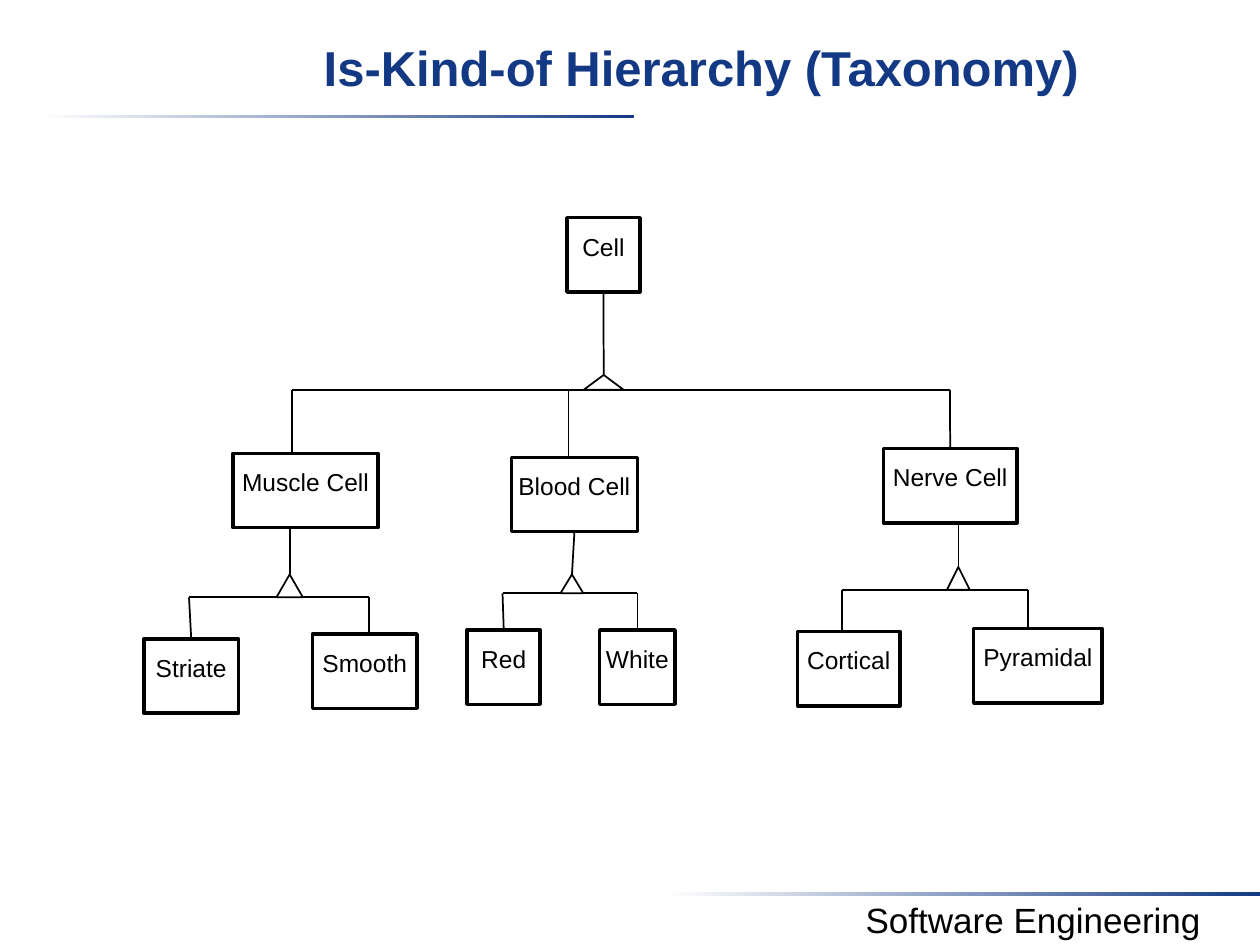
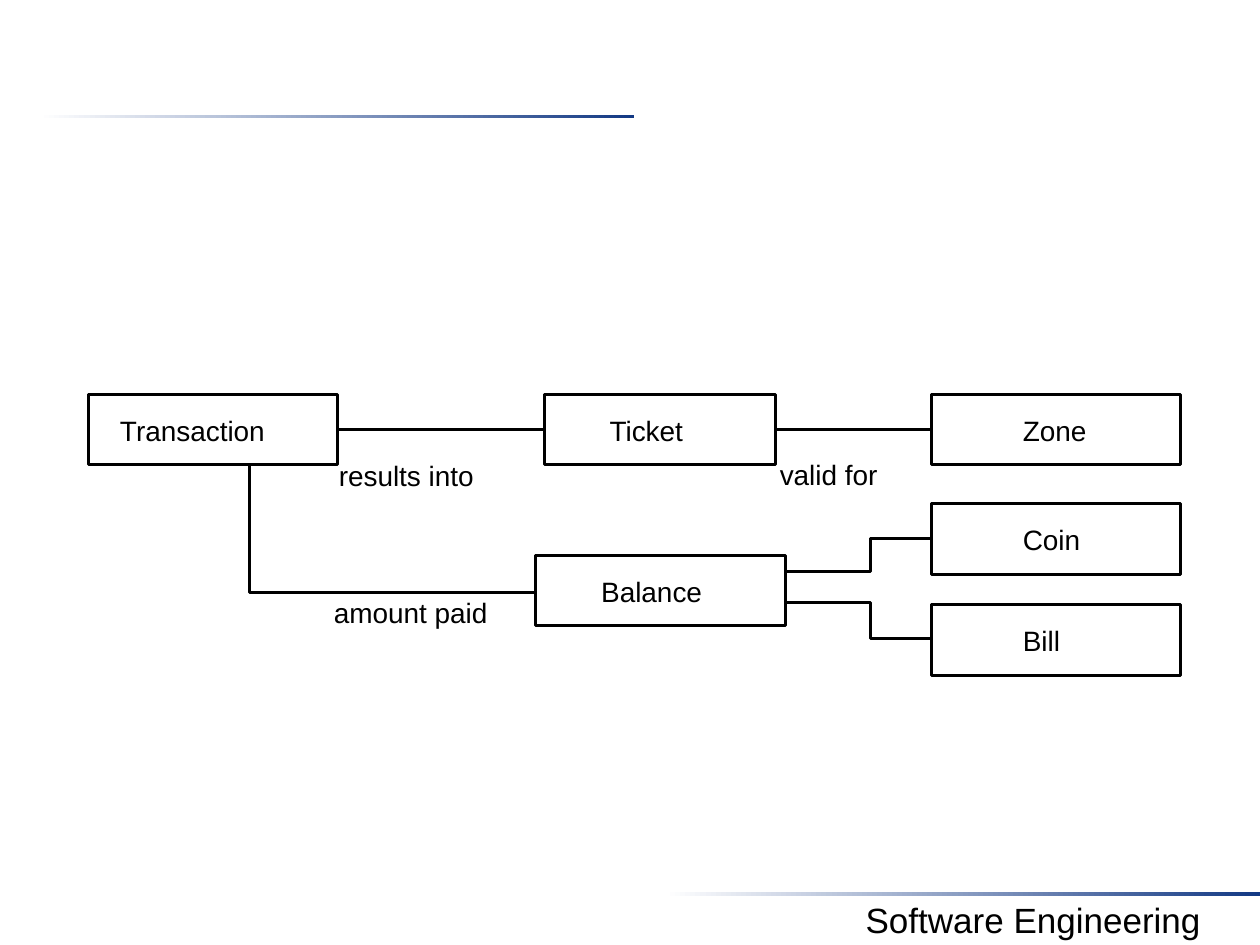
from lxml.etree import SubElement
from pptx import Presentation
from pptx.dml.color import RGBColor
from pptx.enum.shapes import MSO_CONNECTOR as CONN, MSO_SHAPE as SHAPE
from pptx.enum.text import MSO_ANCHOR as ANCHOR, PP_ALIGN as ALIGN
from pptx.oxml.ns import qn
from pptx.util import Cm, Pt

COLORS = {"ink": "000000", "paper": "FFFFFF", "navy": "133984"}
FONT = "Arial"
TOP, LEFT, BOTTOM, RIGHT = range(4)

# Shared parts, in cm: left, top, width, height
BANDS = [(0.79, 2.31, 11.99, 0.08), (13.41, 17.98, 11.99, 0.08)]
FOOTER = ("Software Engineering", (16.26, 17.98, 9.14, 1.12))
TITLE_AT = (2.87, 0.6, 22.53, 1.9)

# Taxonomy: box left, top, width
TAXONOMY_TITLE = "Is-Kind-of Hierarchy (Taxonomy)"
CELL_HEIGHT = 1.5
CELLS = {
    "Cell": (11.43, 4.39, 1.47),
    "Muscle Cell": (4.7, 9.14, 2.92),
    "Blood Cell": (10.31, 9.22, 2.54),
    "Nerve Cell": (17.81, 9.04, 2.69),
    "Striate": (2.9, 12.88, 1.91),
    "Smooth": (6.3, 12.78, 2.11),
    "Red": (9.42, 12.7, 1.47),
    "White": (12.09, 12.7, 1.52),
    "Cortical": (16.08, 12.73, 2.06),
    "Pyramidal": (19.63, 12.67, 2.59),
}
# Parent, stem x, bar y, triangle size, x of the drop to each child
BRANCHES = [
    ("Cell", 12.17, 7.86, (0.81, 0.3),
     {"Muscle Cell": 5.89, "Blood Cell": 11.46, "Nerve Cell": 19.15}),
    ("Muscle Cell", 5.84, 12.04, (0.53, 0.46), {"Striate": 3.81, "Smooth": 7.44}),
    ("Blood Cell", 11.53, 11.96, (0.46, 0.38), {"Red": 10.13, "White": 12.85}),
    ("Nerve Cell", 19.32, 11.89, (0.46, 0.46), {"Cortical": 16.97, "Pyramidal": 20.73}),
]

# Ticket sale: box left, top, width, text indent
ENTITY_HEIGHT = 1.42
ENTITIES = {
    "Transaction": (1.78, 7.95, 5.03, 0.64),
    "Ticket": (10.97, 7.95, 4.67, 1.32),
    "Zone": (18.77, 7.95, 5.03, 1.85),
    "Balance": (10.8, 11.2, 5.03, 1.32),
    "Coin": (18.77, 10.16, 5.03, 1.85),
    "Bill": (18.77, 12.19, 5.03, 1.85),
}
DIRECT_LINKS = [("Transaction", "Ticket"), ("Ticket", "Zone")]
BENT_LINKS = [
    [(5.03, 9.37), (5.03, 11.94), (10.8, 11.94)],
    [(15.83, 11.53), (17.55, 11.53), (17.55, 10.85), (18.77, 10.85)],
    [(15.83, 12.14), (17.55, 12.14), (17.55, 12.88), (18.77, 12.88)],
]
ROLES = {"results into": (6.83, 9.25, 4.06, 0.69),
         "valid for": (15.72, 9.22, 3.05, 0.69),
         "amount paid": (6.73, 12.01, 3.73, 0.69)}


def rgb(name):
    return RGBColor.from_string(COLORS[name])


def write(shape, text, size=14, color="ink", bold=False, align=ALIGN.CENTER,
          anchor=ANCHOR.TOP, wrap=True, left=0, top=0):
    tf = shape.text_frame
    tf.word_wrap, tf.vertical_anchor = wrap, anchor
    tf.margin_left, tf.margin_top = Cm(left), Cm(top)
    tf.margin_right = tf.margin_bottom = 0
    p = tf.paragraphs[0]
    p.alignment = align
    r = p.add_run()
    r.text = text
    r.font.name, r.font.size, r.font.bold = FONT, Pt(size), bold
    r.font.color.rgb = rgb(color)


def add_label(s, text, at, **style):
    write(s.shapes.add_textbox(*map(Cm, at)), text, **style)


def add_outlined(s, kind, at, width):
    sp = s.shapes.add_shape(kind, *map(Cm, at))
    sp.shadow.inherit = False
    sp.fill.solid()
    sp.fill.fore_color.rgb = rgb("paper")
    sp.line.color.rgb, sp.line.width = rgb("ink"), Pt(width)
    return sp


def add_line(s, start, end, width=1):
    line = s.shapes.add_connector(CONN.STRAIGHT, *map(Cm, (*start, *end)))
    line.line.color.rgb, line.line.width = rgb("ink"), Pt(width)
    SubElement(line._element.spPr, qn("a:effectLst"))
    return line


def add_bent_line(s, points, width):
    first, *rest = [tuple(map(Cm, point)) for point in points]
    builder = s.shapes.build_freeform(*first)
    builder.add_line_segments(rest, close=False)
    sp = builder.convert_to_shape()
    sp.shadow.inherit = False
    sp.fill.background()
    sp.line.color.rgb, sp.line.width = rgb("ink"), Pt(width)


def new_slide(prs, title=None):
    s = prs.slides.add_slide(prs.slide_layouts[6])
    for at in BANDS:
        band = s.shapes.add_shape(SHAPE.RECTANGLE, *map(Cm, at))
        band.shadow.inherit = False
        band.line.fill.background()
        band.fill.gradient()
        band.fill.gradient_angle = 0
        for stop, (position, color) in zip(band.fill.gradient_stops,
                                           [(0, "paper"), (1, "navy")]):
            stop.position, stop.color.rgb = position, rgb(color)
    add_label(s, *FOOTER, size=20, anchor=ANCHOR.MIDDLE)
    if title:
        add_label(s, title, TITLE_AT, size=28, color="navy", bold=True, top=0.15)
    return s


def is_middle(name, x):
    left, _, width = CELLS[name]
    return abs(x - left - width / 2) < 0.06


def build_taxonomy(prs):
    s = new_slide(prs, TAXONOMY_TITLE)
    boxes = {}
    for name, at in CELLS.items():
        boxes[name] = add_outlined(s, SHAPE.RECTANGLE, (*at, CELL_HEIGHT), 2)
        write(boxes[name], name, wrap=False, top=0.28)

    for parent, stem_x, bar_y, (width, height), drops in BRANCHES:
        # Stem, bar and drops
        apex_y = bar_y - height
        stem = add_line(s, (stem_x, CELLS[parent][1] + CELL_HEIGHT), (stem_x, apex_y))
        if is_middle(parent, stem_x):
            stem.begin_connect(boxes[parent], BOTTOM)
        add_line(s, (min(drops.values()), bar_y), (max(drops.values()), bar_y))
        for child, x in drops.items():
            drop = add_line(s, (x, bar_y), (x, CELLS[child][1]))
            if is_middle(child, x):
                drop.end_connect(boxes[child], TOP)
        # Inheritance triangle
        add_outlined(s, SHAPE.ISOSCELES_TRIANGLE,
                     (stem_x - width / 2, apex_y, width, height), 1)


def build_ticket_sale(prs):
    s = new_slide(prs)
    boxes = {}
    for name, (left, top, width, indent) in ENTITIES.items():
        boxes[name] = add_outlined(s, SHAPE.RECTANGLE,
                                   (left, top, width, ENTITY_HEIGHT), 1.75)
        write(boxes[name], name, size=16, align=ALIGN.LEFT, left=indent, top=0.38)

    # Links and their roles
    for source, target in DIRECT_LINKS:
        line = add_line(s, (0, 0), (1, 1), 1.75)
        line.begin_connect(boxes[source], RIGHT)
        line.end_connect(boxes[target], LEFT)
    for points in BENT_LINKS:
        add_bent_line(s, points, 1.75)
    for role, at in ROLES.items():
        add_label(s, role, at, size=16, align=ALIGN.LEFT)


def main():
    prs = Presentation()
    prs.slide_width, prs.slide_height = Cm(25.4), Cm(19.05)
    build_taxonomy(prs)
    build_ticket_sale(prs)
    prs.save("out.pptx")


if __name__ == "__main__":
    main()
